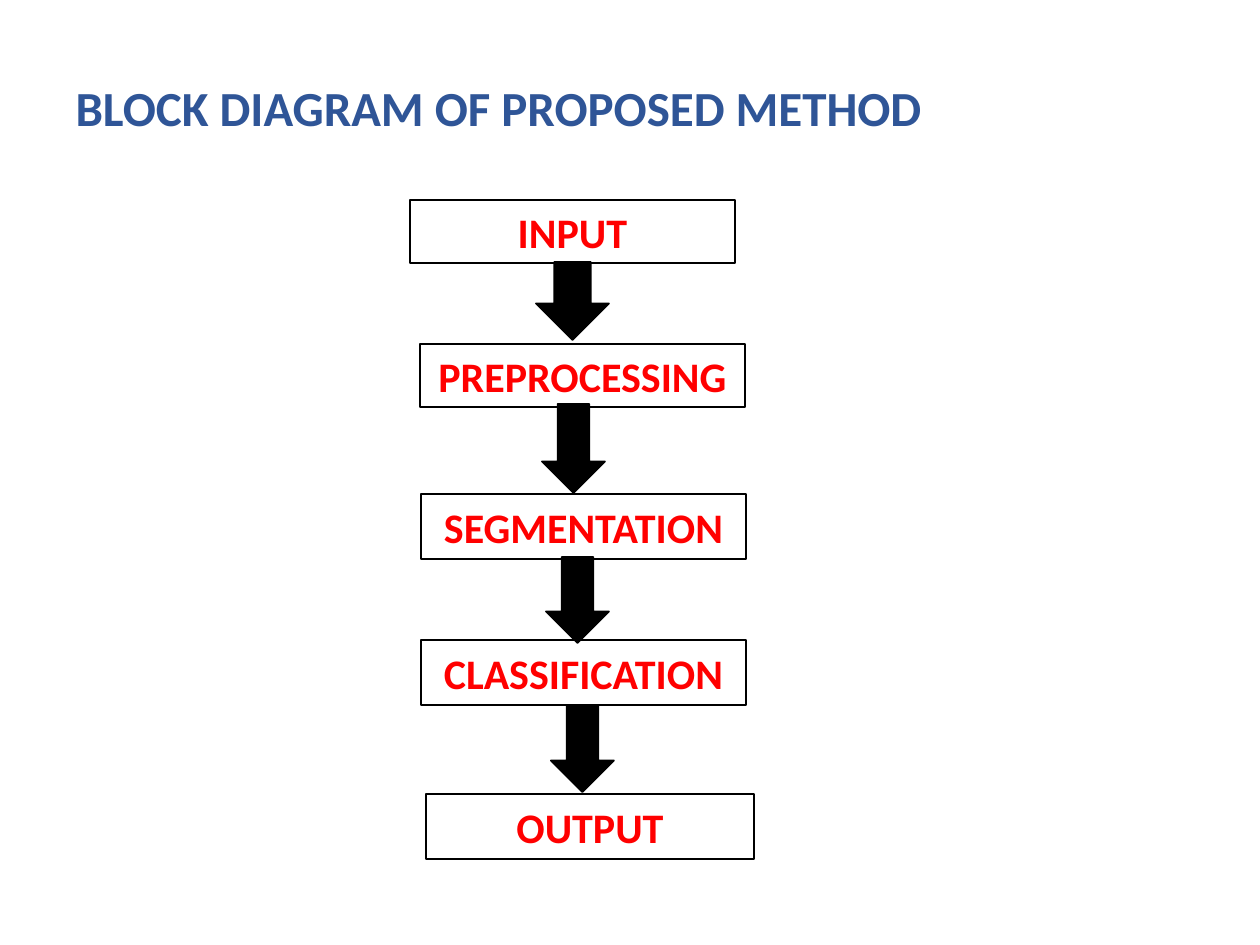
"""Build the block diagram slide of the proposed method."""
from pptx import Presentation
from pptx import util as u
from pptx.dml.color import RGBColor
from pptx.enum import shapes, text

PX = u.Inches(1) / 126
COLORS = {"title": "2F5597", "label": "FF0000", "box": "FFFFFF", "ink": "000000"}


def write(shape, content, size, color, align, anchor):
    frame = shape.text_frame
    frame.word_wrap = True
    frame.auto_size = text.MSO_AUTO_SIZE.NONE
    frame.vertical_anchor = anchor
    paragraph = frame.paragraphs[0]
    paragraph.alignment = align
    run = paragraph.add_run()
    run.text = content
    run.font.name = "Calibri"
    run.font.size = u.Pt(size)
    run.font.bold = True
    run.font.color.rgb = RGBColor.from_string(COLORS[color])


def add_block(slide, kind, bounds, fill):
    shape = slide.shapes.add_shape(kind, *(round(value * PX) for value in bounds))
    shape.shadow.inherit = False
    shape.fill.solid()
    shape.fill.fore_color.rgb = RGBColor.from_string(COLORS[fill])
    shape.line.color.rgb = RGBColor.from_string(COLORS["ink"])
    shape.line.width = u.Pt(1)
    return shape


presentation = Presentation()
presentation.slide_width = u.Inches(10)
presentation.slide_height = u.Inches(7.5)
slide = presentation.slides.add_slide(presentation.slide_layouts[5])

title = slide.shapes.title
title.left, title.top, title.width, title.height = (
    round(value * PX) for value in (63, 71, 1134, 72))
write(title, "BLOCK DIAGRAM OF PROPOSED METHOD", size=28, color="title",
      align=text.PP_ALIGN.LEFT, anchor=text.MSO_ANCHOR.TOP)

stages = [
    ("INPUT", (410, 200, 325, 63)),
    ("PREPROCESSING", (420, 344, 325, 63)),
    ("SEGMENTATION", (421, 494, 325, 65)),
    ("CLASSIFICATION", (421, 640, 325, 65)),
    ("OUTPUT", (426, 794, 328, 65)),
]
for label, bounds in stages:
    box = add_block(slide, shapes.MSO_SHAPE.RECTANGLE, bounds, "box")
    write(box, label, size=24, color="label",
          align=text.PP_ALIGN.CENTER, anchor=text.MSO_ANCHOR.MIDDLE)

arrows = [(536, 262, 73, 78), (542, 404, 63, 89), (546, 557, 63, 86), (551, 706, 63, 86)]
for bounds in arrows:
    add_block(slide, shapes.MSO_SHAPE.DOWN_ARROW, bounds, "ink")

presentation.save("out.pptx")
